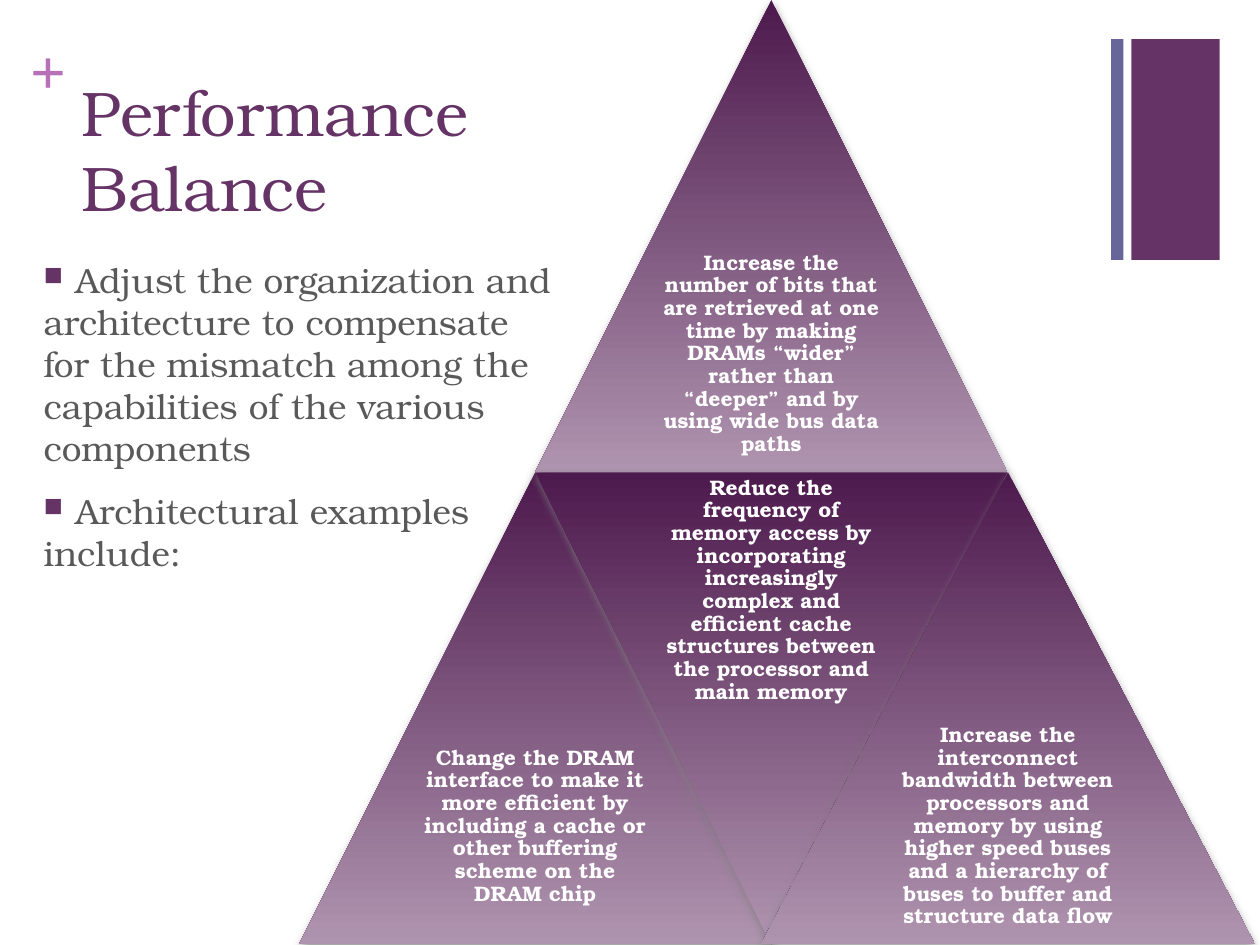
import lxml.etree
import pptx
import pptx.dml.color
import pptx.enum.shapes
import pptx.enum.text
import pptx.oxml.ns
import pptx.util

Cm = pptx.util.Cm
Pt = pptx.util.Pt
SHAPES = pptx.enum.shapes.MSO_SHAPE
ALIGN = pptx.enum.text.PP_ALIGN
ANCHOR = pptx.enum.text.MSO_ANCHOR
qn = pptx.oxml.ns.qn

COLORS = {
    "plum": "663366", "slate": "666699", "plus": "B870B8", "body": "595959",
    "white": "FFFFFF", "dark": "4D1A4D", "light": "AF94AF", "shadow": "808080",
}
FONT = "TeX Gyre Bonum"
TITLE = "Performance \vBalance"
BULLETS = [
    ["Adjust the organization and", "architecture to compensate",
     "for the mismatch among the", "capabilities of the various", "components"],
    ["Architectural examples ", "include:"],
]
SIDE = 9.52
# left, row, width, inverted, text
TRIANGLES = [
    (10.79, 0, SIDE, False,
     "Increase the number of bits that are retrieved at one time by making DRAMs "
     "“wider” rather than “deeper” and by using wide bus data paths"),
    (6.03, 1, SIDE, False,
     "Change the DRAM interface to make it more efficient by including a cache "
     "or other buffering scheme on the DRAM chip"),
    (10.79, 1, SIDE, True,
     "Reduce the frequency of memory access by incorporating increasingly complex "
     "and efficient cache structures between the processor and main memory"),
    (15.34, 1, 9.96, False,
     "Increase the interconnect bandwidth between processors and memory by using "
     "higher speed buses and a hierarchy of buses to buffer and structure data flow"),
]
# left, width, color
BARS = [(22.81, 1.78, "plum"), (22.4, 0.25, "slate")]


def rgb(name):
    """Return the named palette color."""
    return pptx.dml.color.RGBColor.from_string(COLORS[name])


def add_element(parent, tag, **attributes):
    """Append a DrawingML element with the given attributes."""
    element = lxml.etree.SubElement(parent, qn(tag))
    for key, value in attributes.items():
        element.set(key, str(value))
    return element


def add_text(page, area, lines, size, color, font=FONT, bold=False, margins=(0.25, 0.13)):
    """Add a wrapping text box, one paragraph per line."""
    box = page.shapes.add_textbox(*map(Cm, area))
    frame = box.text_frame
    frame.word_wrap = True
    frame.margin_left = frame.margin_right = Cm(margins[0])
    frame.margin_top = frame.margin_bottom = Cm(margins[1])
    frame.text = "\n".join(lines)
    for para in frame.paragraphs:
        for span in para.runs:
            span.font.name = font
            span.font.size = Pt(size)
            span.font.bold = bold
            span.font.color.rgb = rgb(color)
    return frame


def add_shape(page, kind, area):
    """Add a preset shape without outline or inherited shadow."""
    shape = page.shapes.add_shape(kind, *map(Cm, area))
    shape.shadow.inherit = False
    shape.line.fill.background()
    return shape


def add_triangle(page, left, row, width, inverted, text):
    """Add a shaded triangle with its text in the widest inner area."""
    top = row * SIDE
    shape = add_shape(page, SHAPES.ISOSCELES_TRIANGLE, (left, top, width, SIDE))
    shape.rotation = 180 if inverted else 0
    shape.fill.gradient()
    shape.fill.gradient_angle = 270
    for stop, color, position in zip(shape.fill.gradient_stops, ("dark", "light"), (0, 1)):
        stop.color.rgb = rgb(color)
        stop.position = position
    properties = shape.element.spPr
    properties.find(qn("a:gradFill")).set("rotWithShape", "0")
    shadow = add_element(properties.find(qn("a:effectLst")), "a:outerShdw",
                         blurRad=Pt(5), dist=Pt(2), dir=90 * 60000, rotWithShape=0)
    tint = add_element(shadow, "a:srgbClr", val=COLORS["shadow"])
    add_element(tint, "a:alpha", val=75000)

    text_top = top if inverted else top + SIDE / 2
    frame = add_text(page, (left + width / 4, text_top, width / 2, SIDE / 2), [text],
                     12, "white", bold=True, margins=(0.13, 0.13))
    frame.vertical_anchor = ANCHOR.MIDDLE
    frame.paragraphs[0].alignment = ALIGN.CENTER
    frame.paragraphs[0].line_spacing = 0.9


def format_bullets(frame):
    """Indent every line and mark the first line of each item."""
    starts = [flag for item in BULLETS for flag in [True] + [False] * (len(item) - 1)]
    for para, starts_item in zip(frame.paragraphs, starts):
        para.space_before = Pt(12 if starts_item else 0)
        properties = para._p.get_or_add_pPr()
        properties.set("marL", str(Cm(1.27)))
        properties.set("indent", str(-Cm(0.64)))
        if starts_item:
            add_element(add_element(properties, "a:buClr"), "a:srgbClr", val=COLORS["plum"])
            add_element(properties, "a:buSzPct", val=75000)
            add_element(properties, "a:buChar", char="■")
        else:
            add_element(properties, "a:buNone")


deck = pptx.Presentation()
deck.slide_width, deck.slide_height = Cm(25.4), Cm(19.05)
page = deck.slides.add_slide(deck.slide_layouts[6])

for left, width, color in BARS:
    bar = add_shape(page, SHAPES.RECTANGLE, (left, 0.79, width, 4.45))
    bar.fill.solid()
    bar.fill.fore_color.rgb = rgb(color)

plus = add_text(page, (0.61, 0.64, 0.74, 1.55), ["+"], 36, "plus",
                font="Times New Roman", bold=True, margins=(0, 0))
plus.word_wrap = False
add_text(page, (1.4, 1.35, 13.21, 3.73), [TITLE], 36, "plum")

for triangle in TRIANGLES:
    add_triangle(page, *triangle)

body = add_text(page, (0, 5.08, 12.27, 7.65), sum(BULLETS, []), 20, "body")
format_bullets(body)

deck.save("out.pptx")
